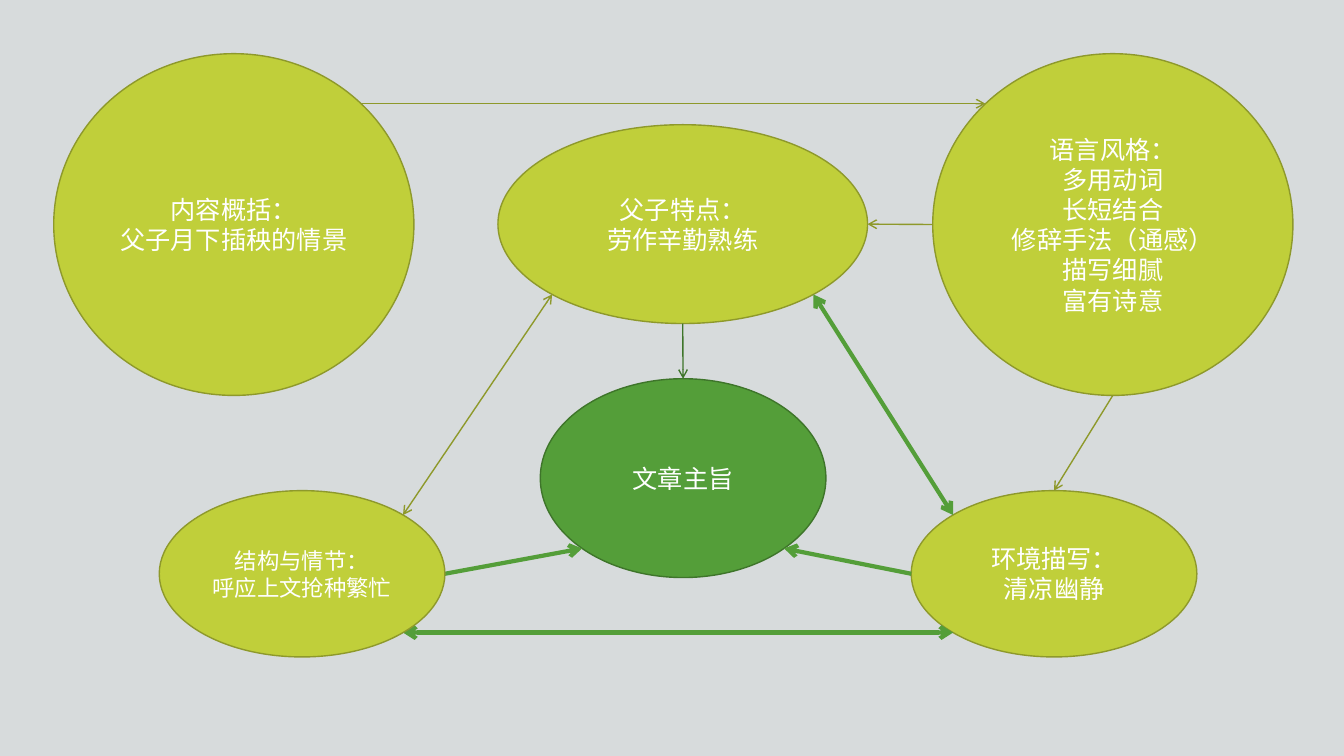
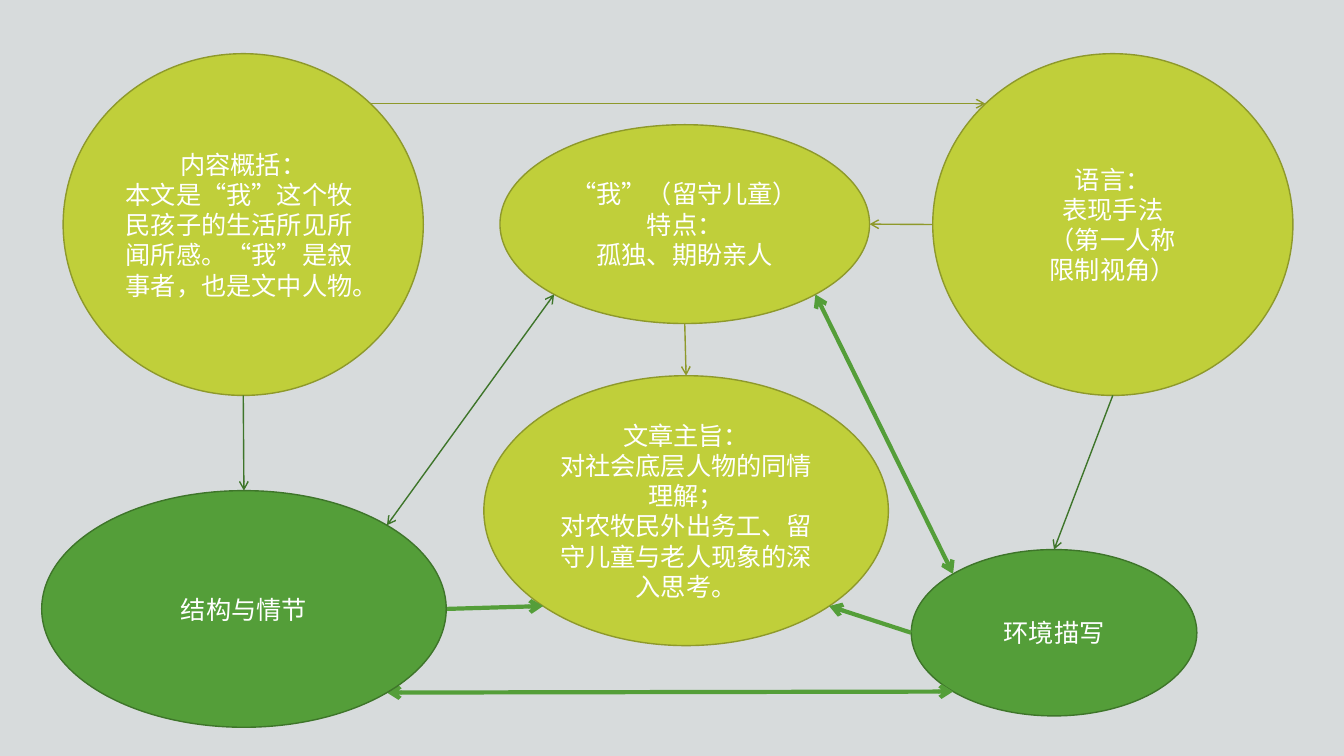
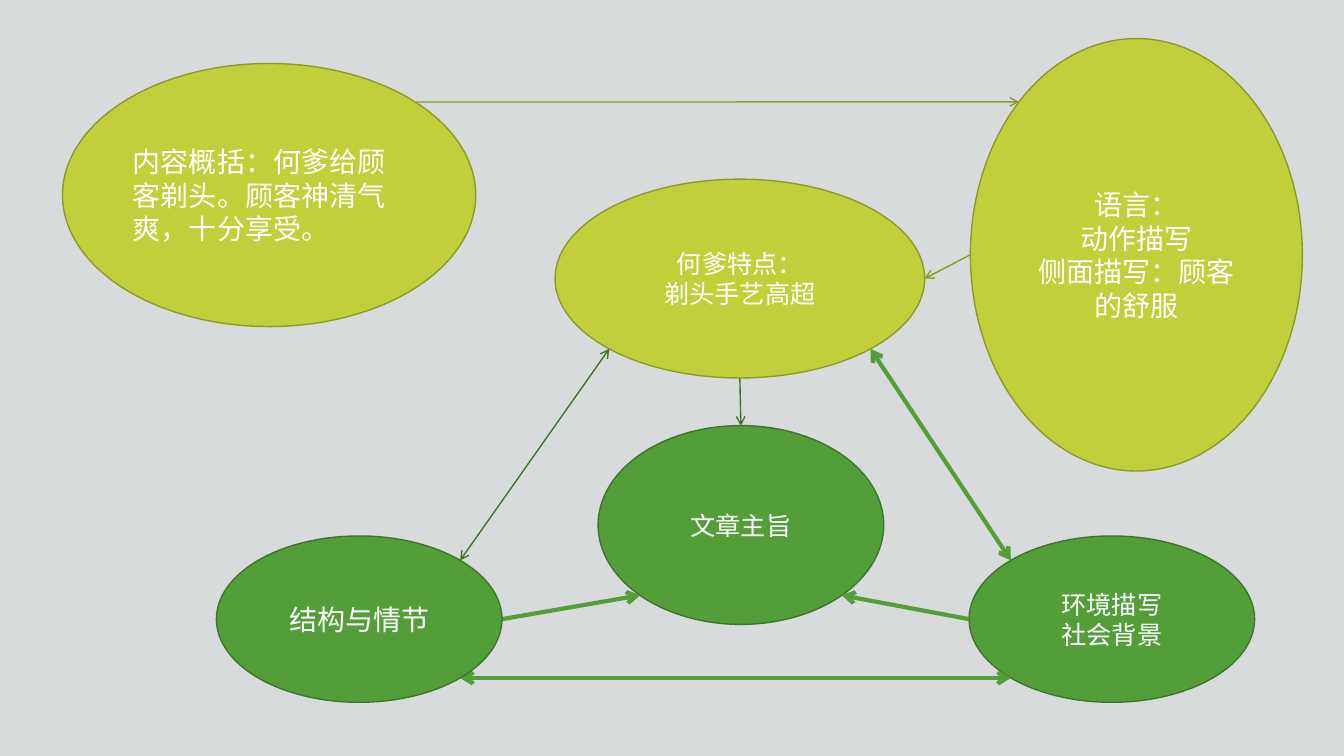
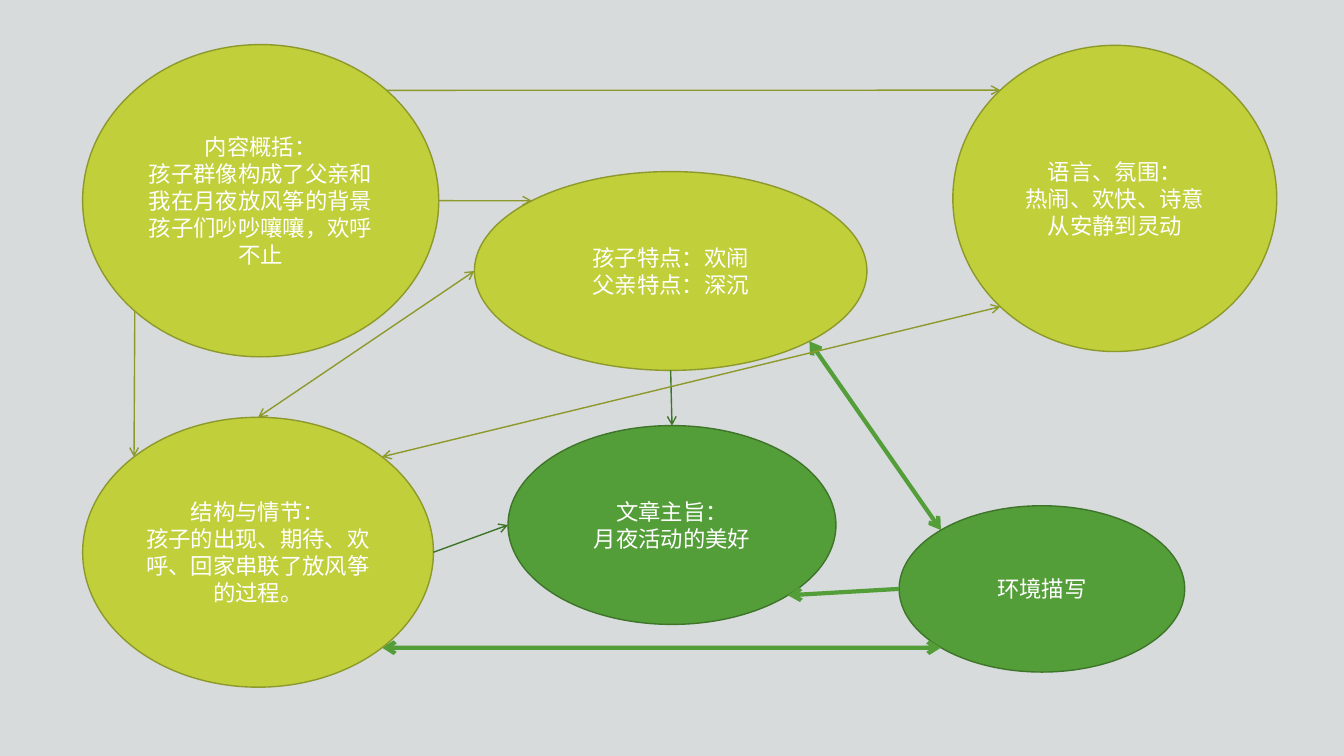
from lxml.etree import SubElement as add_element
from pptx import Presentation
from pptx.dml.color import RGBColor as Rgb
from pptx.enum.lang import MSO_LANGUAGE_ID as Language
from pptx.enum.shapes import MSO_CONNECTOR as Connector, MSO_SHAPE as Shape
from pptx.enum.text import PP_ALIGN as Align
from pptx.oxml.ns import qn
from pptx.util import Inches, Pt

COLORS = {
    "background": "D7DBDC",
    "text": "FFFFFF",
    "lime": "C0CF3A",
    "lime outline": "8E992B",
    "green": "549E39",
    "green outline": "3E752A",
}
LATIN, CHINESE = "Arial Narrow", "Noto Sans CJK SC"
THIN, THICK = 1, 3

# Boxes are left, top, width, height in hundredths of the slide.
SMALL, MEDIUM, WIDE, ROUND = (21.25, 22), (21.25, 26.3), (27.5, 26.3), (26.8, 45.2)

# Where an arrow can touch an ellipse, in half-widths and half-heights from its centre.
DIAGONAL = 0.5 ** 0.5
SITES = {
    "top": (0, -1), "bottom": (0, 1), "left": (-1, 0), "right": (1, 0),
    "top left": (-DIAGONAL, -DIAGONAL), "top right": (DIAGONAL, -DIAGONAL),
    "bottom left": (-DIAGONAL, DIAGONAL), "bottom right": (DIAGONAL, DIAGONAL),
}

# Arrows: from topic, site, to topic, site, arrow direction, weight.
COMMON_ARROWS = [
    ("setting", "left", "theme", "bottom right", "->", THICK),
    ("character", "bottom right", "setting", "top left", "<->", THICK),
    ("setting", "bottom left", "plot", "bottom right", "<->", THICK),
    ("character", "bottom", "theme", "top", "->", THIN),
    ("summary", "top right", "language", "top left", "->", THIN),
]
STANDARD_ARROWS = COMMON_ARROWS + [
    ("plot", "right", "theme", "bottom left", "->", THICK),
    ("character", "bottom left", "plot", "top right", "<->", THIN),
    ("language", "left", "character", "right", "->", THIN),
]
LANGUAGE_TO_SETTING = ("language", "bottom", "setting", "top", "->", THIN)

# Topics: box, fill, text size, lines; "left from" is the first left-aligned line.
MAPS = [
    {
        "arrows": STANDARD_ARROWS + [LANGUAGE_TO_SETTING],
        "topics": {
            "theme": {"box": (40.2, 50.1, *MEDIUM), "fill": "green", "size": 18,
                      "lines": ["文章主旨"]},
            "setting": {"box": (67.8, 64.9, *SMALL), "fill": "lime", "size": 18,
                        "lines": ["环境描写：", "清凉幽静"]},
            "character": {"box": (37.05, 16.5, *WIDE), "fill": "lime", "size": 18,
                          "lines": ["父子特点：", "劳作辛勤熟练"]},
            "summary": {"box": (4, 7.1, *ROUND), "fill": "lime", "size": 18,
                        "lines": ["内容概括：", "父子月下插秧的情景"]},
            "language": {"box": (69.4, 7.1, *ROUND), "fill": "lime", "size": 18,
                         "lines": ["语言风格：", "多用动词", "长短结合",
                                   "修辞手法（通感）", "描写细腻", "富有诗意"]},
            "plot": {"box": (11.85, 64.9, *SMALL), "fill": "lime", "size": 16,
                     "lines": ["结构与情节：", "呼应上文抢种繁忙"]},
        },
    },
    {
        "arrows": STANDARD_ARROWS + [
            LANGUAGE_TO_SETTING,
            ("summary", "bottom", "plot", "top", "->", THIN),
        ],
        "topics": {
            "theme": {"box": (36, 49.7, 30.1, 35.7), "fill": "lime", "size": 18,
                      "lines": ["文章主旨：", "对社会底层人物的同情理解；",
                                "对农牧民外出务工、留守儿童与老人现象的深入思考。"]},
            "setting": {"box": (67.8, 72.7, *SMALL), "fill": "green", "size": 18,
                        "lines": ["环境描写"]},
            "character": {"box": (37.2, 16.5, *WIDE), "fill": "lime", "size": 18,
                          "lines": ["“我”（留守儿童）特点：", "孤独、期盼亲人"]},
            "summary": {"box": (4.7, 7.1, *ROUND), "fill": "lime", "size": 18, "left from": 1,
                        "lines": ["内容概括：",
                                  "本文是“我”这个牧民孩子的生活所见所闻所感。“我”是叙事者，也是文中人物。"]},
            "language": {"box": (69.4, 7.1, *ROUND), "fill": "lime", "size": 18,
                         "lines": ["语言：", "表现手法", "（第一人称", "限制视角）"]},
            "plot": {"box": (3.1, 64.9, 30.1, 31.3), "fill": "green", "size": 18,
                     "lines": ["结构与情节"]},
        },
    },
    {
        "arrows": STANDARD_ARROWS,
        "topics": {
            "theme": {"box": (44.5, 56.3, *MEDIUM), "fill": "green", "size": 18,
                      "lines": ["文章主旨"]},
            "setting": {"box": (72.1, 70.9, *SMALL), "fill": "green", "size": 18,
                        "lines": ["环境描写", "社会背景"]},
            "character": {"box": (41.3, 23.7, *WIDE), "fill": "lime", "size": 18,
                          "lines": ["何爹特点：", "剃头手艺高超"]},
            "summary": {"box": (4.65, 8.4, 30.75, 34.8), "fill": "lime", "size": 20,
                        "left from": 0,
                        "lines": ["内容概括：何爹给顾客剃头。顾客神清气爽，十分享受。"]},
            "language": {"box": (72.2, 5.1, 24.7, 57.2), "fill": "lime", "size": 20,
                         "lines": ["语言：", "动作描写", "侧面描写：顾客的舒服"]},
            "plot": {"box": (16.1, 70.9, *SMALL), "fill": "green", "size": 20,
                     "lines": ["结构与情节"]},
        },
    },
    {
        "arrows": COMMON_ARROWS + [
            ("plot", "right", "theme", "left", "->", THIN),
            ("character", "left", "plot", "top", "<->", THIN),
            ("summary", "bottom left", "plot", "top left", "->", THIN),
            ("summary", "right", "character", "top left", "->", THIN),
            ("language", "bottom left", "plot", "top right", "<->", THIN),
        ],
        "topics": {
            "theme": {"box": (37.8, 56.3, 24.4, 26.3), "fill": "green", "size": 16,
                      "lines": ["文章主旨：", "月夜活动的美好"]},
            "setting": {"box": (66.9, 66.9, *SMALL), "fill": "green", "size": 16,
                        "lines": ["环境描写"]},
            "character": {"box": (35.3, 22.7, 29.2, 26.3), "fill": "lime", "size": 16,
                          "lines": ["孩子特点：欢闹", "父亲特点：深沉"]},
            "summary": {"box": (6.15, 5.9, 26.5, 41.3), "fill": "lime", "size": 16,
                        "lines": ["内容概括：", "孩子群像构成了父亲和我在月夜放风筝的背景",
                                  "孩子们吵吵嚷嚷，欢呼不止"]},
            "language": {"box": (70.9, 6, 24.1, 40.5), "fill": "lime", "size": 16,
                         "lines": ["语言、氛围：", "热闹、欢快、诗意", "从安静到灵动"]},
            "plot": {"box": (6.15, 55.2, 26.1, 35.7), "fill": "lime", "size": 16,
                     "lines": ["结构与情节：", "孩子的出现、期待、欢呼、回家串联了放风筝的过程。"]},
        },
    },
]

deck = Presentation()
deck.slide_width, deck.slide_height = Inches(13.33), Inches(7.5)
column, row = deck.slide_width / 100, deck.slide_height / 100
backdrop = deck.slide_master.background.fill
backdrop.solid()
backdrop.fore_color.rgb = Rgb.from_string(COLORS["background"])


def draw_topic(slide, name, topic):
    left, top, width, height = topic["box"]
    ellipse = slide.shapes.add_shape(Shape.OVAL, int(left * column), int(top * row),
                                     int(width * column), int(height * row))
    ellipse.shadow.inherit = False
    ellipse.fill.solid()
    ellipse.fill.fore_color.rgb = Rgb.from_string(COLORS[topic["fill"]])
    ellipse.line.color.rgb = Rgb.from_string(COLORS[topic["fill"] + " outline"])
    ellipse.line.width = Pt(THIN)
    frame = ellipse.text_frame
    frame.word_wrap = True
    text_format = {
        "size": Pt(topic["size"]),
        "name": CHINESE if name == "character" else LATIN,
        "language_id": Language.SIMPLIFIED_CHINESE,
    }
    for index, line in enumerate(topic["lines"]):
        paragraph = frame.add_paragraph() if index else frame.paragraphs[0]
        left_from = topic.get("left from", len(topic["lines"]))
        paragraph.alignment = Align.LEFT if index >= left_from else Align.CENTER
        run = paragraph.add_run()
        run.text = line
        run.font.color.rgb = Rgb.from_string(COLORS["text"])
        for attribute, value in text_format.items():
            setattr(run.font, attribute, value)
        add_element(run.font._element, qn("a:ea"), typeface=CHINESE)


def draw_arrow(slide, topics, arrow):
    """Join two topics; a thin arrow takes the outline colour of its target."""
    start, start_site, end, end_site, direction, weight = arrow
    ends = []
    for name, site in ((start, start_site), (end, end_site)):
        left, top, width, height = topics[name]["box"]
        across, down = SITES[site]
        ends += [int((left + width * (1 + across) / 2) * column),
                 int((top + height * (1 + down) / 2) * row)]
    connector = slide.shapes.add_connector(Connector.STRAIGHT, *ends)
    color = "green" if weight == THICK else topics[end]["fill"] + " outline"
    connector.line.color.rgb = Rgb.from_string(COLORS[color])
    connector.line.width = Pt(weight)
    outline = connector.line._get_or_add_ln()
    if direction == "<->":
        add_element(outline, qn("a:headEnd"), type="arrow")
    add_element(outline, qn("a:tailEnd"), type="arrow")
    add_element(connector._element.spPr, qn("a:effectLst"))


# Thick arrows lie above the inner topics and below the outer ones.
LAYERS = [
    (("theme", "setting", "character"), THICK),
    (("summary", "language", "plot"), THIN),
]
for concept_map in MAPS:
    slide = deck.slides.add_slide(deck.slide_layouts[6])
    topics = concept_map["topics"]
    for names, weight in LAYERS:
        for name in names:
            draw_topic(slide, name, topics[name])
        for arrow in concept_map["arrows"]:
            if arrow[-1] == weight:
                draw_arrow(slide, topics, arrow)

deck.save("out.pptx")
